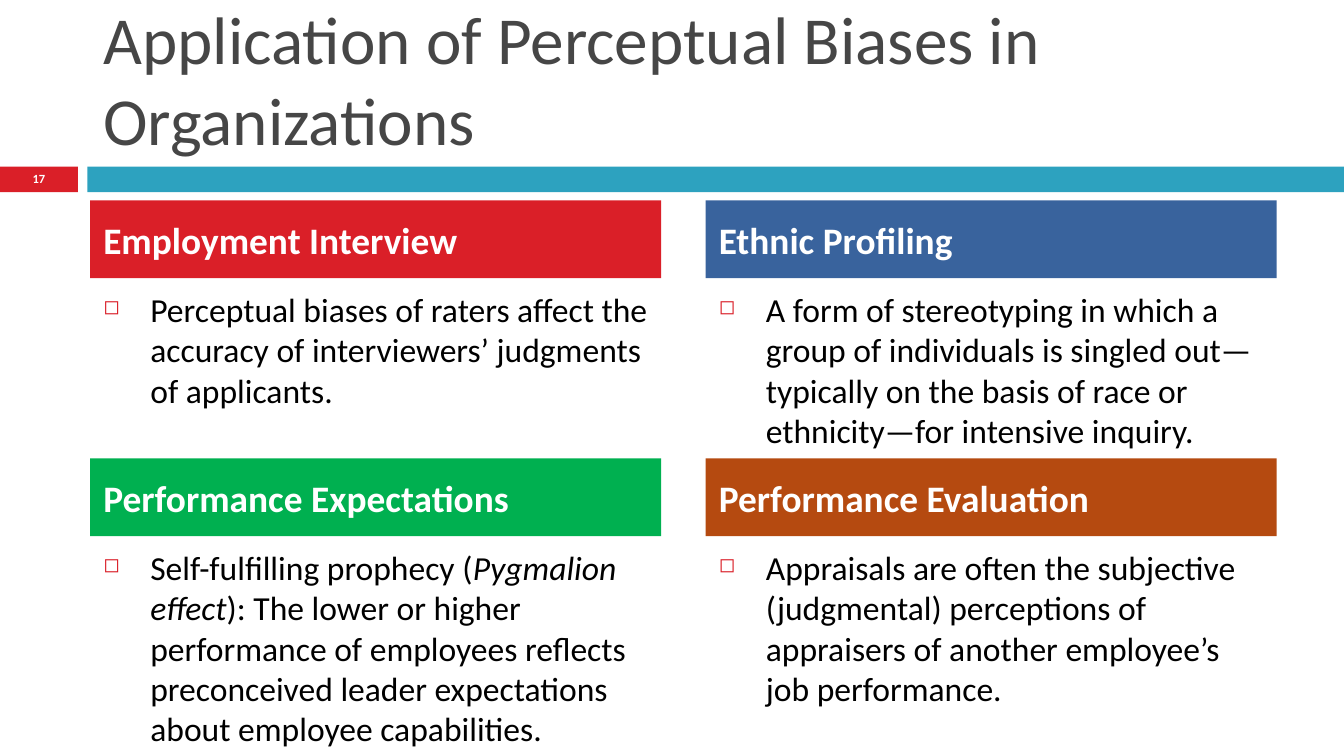
from lxml import etree
from pptx import Presentation
from pptx.dml.color import RGBColor
from pptx.enum import shapes, text
from pptx.oxml.ns import qn
from pptx.util import Inches, Pt

RED = RGBColor(0xDA, 0x1F, 0x28)
TEAL = RGBColor(0x2D, 0xA2, 0xBF)
BLUE = RGBColor(0x39, 0x63, 0x9D)
GREEN = RGBColor(0x00, 0xB0, 0x50)
BROWN = RGBColor(0xB5, 0x4A, 0x10)
GRAY = RGBColor(0x46, 0x46, 0x46)
BLACK = RGBColor(0x00, 0x00, 0x00)
WHITE = RGBColor(0xFF, 0xFF, 0xFF)

LEFT, TOP = 0.67, 1.49
COLUMN_STEP, ROW_STEP = 4.58, 1.92
CARD_WIDTH, HEADER_HEIGHT = 4.25, 0.58
BODY_OFFSET, BODY_HEIGHT = 0.61, 2.88

CARDS = [
    ("Employment Interview", RED,
     ["Perceptual biases of raters affect the accuracy of interviewers’ "
      "judgments of applicants."]),
    ("Ethnic Profiling", BLUE,
     ["A form of stereotyping in which a group of individuals is singled "
      "out—typically on the basis of race or ethnicity—for intensive inquiry."]),
    ("Performance Expectations", GREEN,
     ["Self-fulfilling prophecy (", "Pygmalion effect",
      "): The lower or higher performance of employees reflects preconceived "
      "leader expectations about employee capabilities."]),
    ("Performance Evaluation", BROWN,
     ["Appraisals are often the subjective (judgmental) perceptions of "
      "appraisers of another employee’s job performance."]),
]


def add_bar(s, x, y, w, h, color):
    """Add a plain filled rectangle."""
    sp = s.shapes.add_shape(shapes.MSO_SHAPE.RECTANGLE,
                            Inches(x), Inches(y), Inches(w), Inches(h))
    sp.shadow.inherit = False
    sp.fill.solid()
    sp.fill.fore_color.rgb = color
    sp.line.fill.background()
    return sp


def add_box(s, x, y, w, h):
    """Add an empty text box."""
    return s.shapes.add_textbox(Inches(x), Inches(y), Inches(w), Inches(h))


def add_bullet(p):
    """Give a paragraph a hanging red square bullet."""
    pPr = p._p.get_or_add_pPr()
    pPr.set("marL", str(Inches(0.35)))
    pPr.set("indent", str(-Inches(0.35)))
    color = etree.SubElement(pPr, qn("a:buClr"))
    etree.SubElement(color, qn("a:srgbClr"), val=str(RED))
    etree.SubElement(pPr, qn("a:buSzPct"), val="60000")
    etree.SubElement(pPr, qn("a:buChar"), char="◻")


def set_text(sp, parts, size, color, bold=False, bullet=False,
             align=text.PP_ALIGN.LEFT, anchor=text.MSO_ANCHOR.TOP):
    """Write one paragraph whose every second part is italic."""
    tf = sp.text_frame
    tf.word_wrap = True
    tf.vertical_anchor = anchor
    p = tf.paragraphs[0]
    p.alignment = align
    if bullet:
        add_bullet(p)
    for i, part in enumerate(parts):
        r = p.add_run()
        r.text = part
        r.font.name = "Calibri"
        r.font.size = Pt(size)
        r.font.bold = bold
        r.font.italic = i % 2 == 1
        r.font.color.rgb = color


def add_card(s, x, y, heading, color, parts):
    """Add a coloured heading with a bulleted text below it."""
    header = add_bar(s, x, y, CARD_WIDTH, HEADER_HEIGHT, color)
    set_text(header, [heading], 20, WHITE, bold=True,
             anchor=text.MSO_ANCHOR.MIDDLE)
    body = add_box(s, x, y + BODY_OFFSET, CARD_WIDTH, BODY_HEIGHT)
    set_text(body, parts, 18, BLACK, bullet=True)


def main():
    """Build the slide and save it."""
    prs = Presentation()
    prs.slide_width = Inches(10)
    prs.slide_height = prs.slide_width * 9 // 16
    s = prs.slides.add_slide(prs.slide_layouts[6])

    add_bar(s, 0, 1.24, 0.58, 0.19, RED)
    add_bar(s, 0.65, 1.24, 9.35, 0.19, TEAL)
    title = add_box(s, LEFT, 0.13, 8.92, 1.1)
    set_text(title, ["Application of Perceptual Biases in Organizations"],
             36, GRAY, anchor=text.MSO_ANCHOR.BOTTOM)
    number = add_box(s, 0, 1.23, 0.58, 0.2)
    set_text(number, ["17"], 6.7, WHITE, bold=True,
             align=text.PP_ALIGN.CENTER, anchor=text.MSO_ANCHOR.MIDDLE)

    for i, card in enumerate(CARDS):
        row, column = divmod(i, 2)
        add_card(s, LEFT + column * COLUMN_STEP, TOP + row * ROW_STEP, *card)
    prs.save("out.pptx")


if __name__ == "__main__":
    main()
